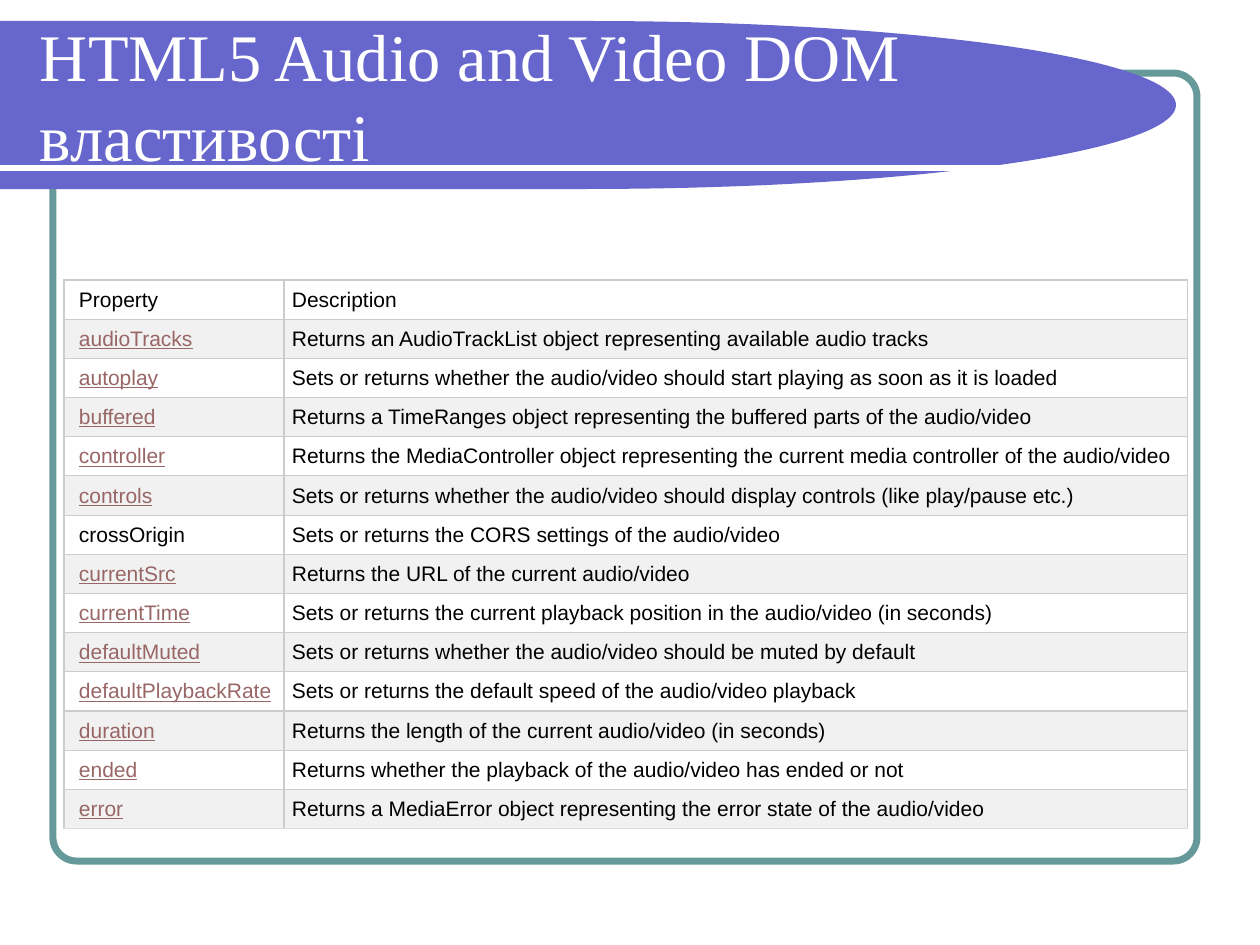
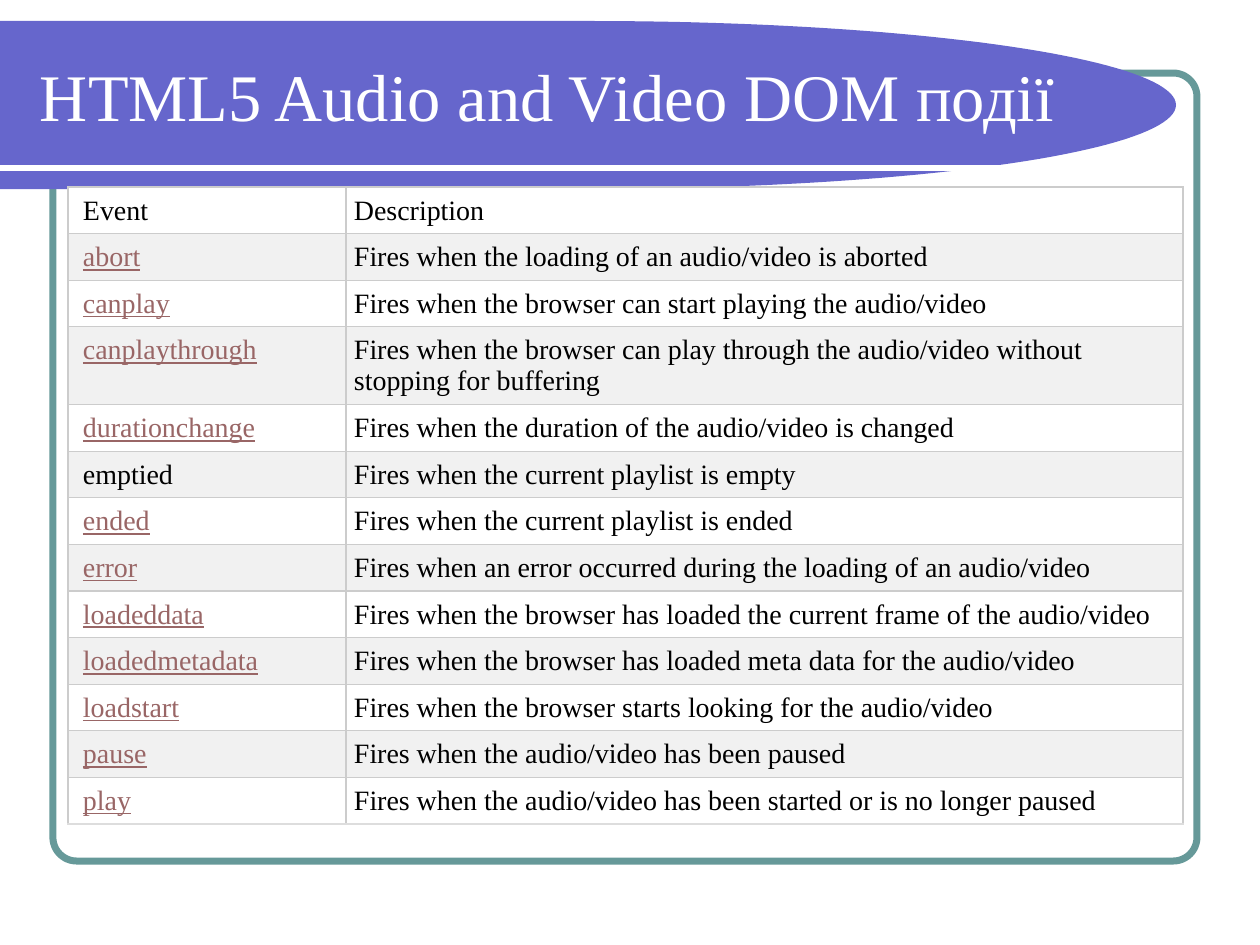
from math import cos, pi, sin

from lxml.etree import SubElement
from pptx import Presentation
from pptx.dml.color import RGBColor
from pptx.enum.shapes import MSO_CONNECTOR as Line, MSO_SHAPE as Shape
from pptx.enum.text import MSO_ANCHOR as Anchor, MSO_AUTO_SIZE as Fit, PP_ALIGN as Align
from pptx.oxml import parse_xml
from pptx.oxml.ns import nsdecls, qn
from pptx.util import Pt

PX = 914400 / 126
WHITE = RGBColor(0xFF, 0xFF, 0xFF)
BLACK = RGBColor(0, 0, 0)
BAND = RGBColor(0x66, 0x66, 0xCC)
FRAME = RGBColor(0x66, 0x99, 0x99)
LINK = RGBColor(0x99, 0x66, 0x66)
GREY = RGBColor(0xF1, 0xF1, 0xF1)
EDGE = RGBColor(0xCC, 0xCC, 0xCC)
BASE = RGBColor(0xDD, 0xDD, 0xDD)
SERIF = "Times New Roman"

PLAIN = {"Property", "Event", "crossOrigin", "emptied"}
PROPS = [
    ("Property", "Description"),
    ("audioTracks", "Returns an AudioTrackList object representing available audio tracks"),
    ("autoplay", "Sets or returns whether the audio/video should start playing as soon as it is loaded"),
    ("buffered", "Returns a TimeRanges object representing the buffered parts of the audio/video"),
    ("controller", "Returns the MediaController object representing the current media controller of the audio/video"),
    ("controls", "Sets or returns whether the audio/video should display controls (like play/pause etc.)"),
    ("crossOrigin", "Sets or returns the CORS settings of the audio/video"),
    ("currentSrc", "Returns the URL of the current audio/video"),
    ("currentTime", "Sets or returns the current playback position in the audio/video (in seconds)"),
    ("defaultMuted", "Sets or returns whether the audio/video should be muted by default"),
    ("defaultPlaybackRate", "Sets or returns the default speed of the audio/video playback"),
    ("duration", "Returns the length of the current audio/video (in seconds)"),
    ("ended", "Returns whether the playback of the audio/video has ended or not"),
    ("error", "Returns a MediaError object representing the error state of the audio/video"),
]
EVENTS = [
    ("Event", "Description"),
    ("abort", "Fires when the loading of an audio/video is aborted"),
    ("canplay", "Fires when the browser can start playing the audio/video"),
    ("canplaythrough", "Fires when the browser can play through the audio/video without stopping for buffering"),
    ("durationchange", "Fires when the duration of the audio/video is changed"),
    ("emptied", "Fires when the current playlist is empty"),
    ("ended", "Fires when the current playlist is ended"),
    ("error", "Fires when an error occurred during the loading of an audio/video"),
    ("loadeddata", "Fires when the browser has loaded the current frame of the audio/video"),
    ("loadedmetadata", "Fires when the browser has loaded meta data for the audio/video"),
    ("loadstart", "Fires when the browser starts looking for the audio/video"),
    ("pause", "Fires when the audio/video has been paused"),
    ("play", "Fires when the audio/video has been started or is no longer paused"),
]
# "tall" maps a row to its height; the other rows share what is left
SLIDES = [
    dict(title="HTML5 Audio and Video DOM властивості", rows=PROPS, at=(64, 280),
         cols=(220, 904), high=549, tall={}, font="Arial", size=12),
    dict(title="HTML5 Audio and Video DOM події", rows=EVENTS, at=(68, 187),
         cols=(278, 837), high=637, tall={3: 78}, font=SERIF, size=16),
]


def px(*nums):
    return [round(n * PX) for n in nums]


def write(para, text, font, size, color):
    run = para.add_run()
    run.text = text
    run.font.name, run.font.size = font, Pt(size)
    run.font.color.rgb = color
    return run


def pad(obj, left, top, right, low):
    """Set the inner margins of a cell or a text frame."""
    (obj.margin_left, obj.margin_top,
     obj.margin_right, obj.margin_bottom) = px(left, top, right, low)


def add_decor(slide, master):
    """Draw the frame, band and rule, then move them behind all slides."""
    shapes = slide.shapes
    frame = shapes.add_shape(Shape.ROUNDED_RECTANGLE, *px(53, 73, 1144, 788))
    frame.adjustments[0] = 0.03
    frame.fill.background()
    frame.line.color.rgb, frame.line.width = FRAME, Pt(4)
    frame.shadow.inherit = False

    mid, mid_y, wide, high, steps = 588, 105, 588, 84, 90
    arc = [(mid + wide * sin(pi * i / steps), mid_y - high * cos(pi * i / steps))
           for i in range(steps + 1)]
    pen = shapes.build_freeform(*px(0, mid_y - high))
    pen.add_line_segments([px(*dot) for dot in arc] + [px(0, mid_y + high)])
    band = pen.convert_to_shape()
    band.fill.solid()
    band.fill.fore_color.rgb = BAND
    band.line.fill.background()
    band.shadow.inherit = False

    rule = shapes.add_connector(Line.STRAIGHT, *px(0, 168, 1113, 168))
    rule.line.color.rgb, rule.line.width = WHITE, Pt(3)
    SubElement(rule._element.spPr, qn("a:effectLst"))

    tree = master.shapes._spTree
    for place, part in enumerate((frame, band, rule), 2):
        tree.insert(place, part._element)


def set_title(slide, text):
    title = slide.shapes.title
    title.left, title.top, title.width, title.height = px(26, 32, 1105, 126)
    frame = title.text_frame
    frame.word_wrap, frame.auto_size = True, Fit.NONE
    frame.vertical_anchor = Anchor.MIDDLE
    pad(frame, 14, 6, 13, 6)
    para = frame.paragraphs[0]
    para.alignment, para.line_spacing = Align.LEFT, 1.0
    write(para, text, SERIF, 38, WHITE)


def set_edges(cell, last):
    props = cell._tc.get_or_add_tcPr()
    for place, side in enumerate("LRTB"):
        color = BASE if last and side == "B" else EDGE
        props.insert(place, parse_xml(
            f'<a:ln{side} {nsdecls("a")} w="{Pt(0.75)}"><a:solidFill>'
            f'<a:srgbClr val="{color}"/></a:solidFill></a:ln{side}>'))


def add_grid(slide, rows, at, cols, high, tall, font, size):
    shape = slide.shapes.add_table(len(rows), len(cols), *px(*at, sum(cols), high))
    table = shape.table
    table.first_row = table.horz_banding = False
    for col, wide in zip(table.columns, px(*cols)):
        col.width = wide
    step = (high - sum(tall.values())) / (len(rows) - len(tall))
    for r, row in enumerate(rows):
        table.rows[r].height = px(tall.get(r, step))[0]
        for c, text in enumerate(row):
            cell = table.cell(r, c)
            pad(cell, 8 if c else 15, 8, 7, 7)
            cell.fill.solid()
            cell.fill.fore_color.rgb = GREY if r % 2 else WHITE
            set_edges(cell, r == len(rows) - 1)
            link = c == 0 and text not in PLAIN
            run = write(cell.text_frame.paragraphs[0], text, font, size,
                        LINK if link else BLACK)
            run.font.underline = link


def main():
    deck = Presentation()
    deck.slide_width, deck.slide_height = px(1260, 945)
    for i, data in enumerate(SLIDES):
        slide = deck.slides.add_slide(deck.slide_layouts[5])
        if i == 0:
            add_decor(slide, deck.slide_master)
        set_title(slide, data["title"])
        add_grid(slide, **{k: v for k, v in data.items() if k != "title"})
    deck.save("out.pptx")


if __name__ == "__main__":
    main()
